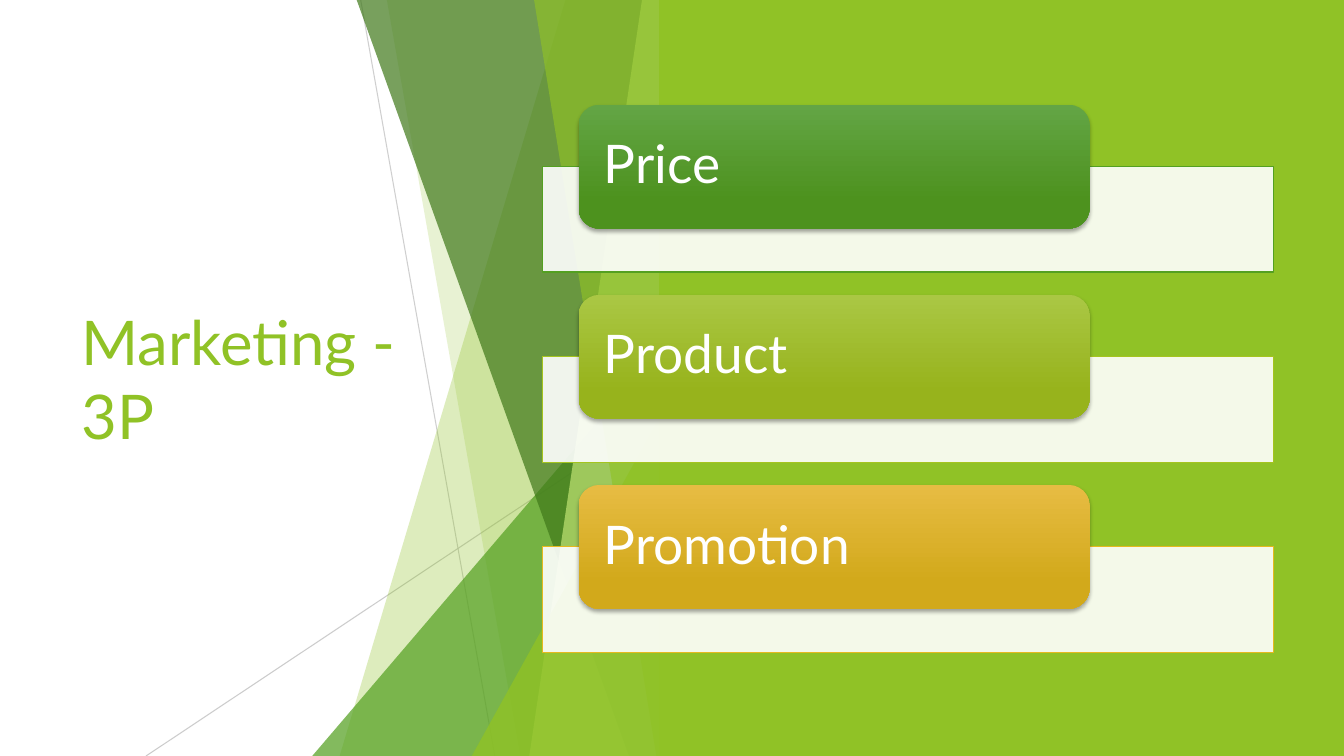
"""Build the Marketing - 3P slide with its faceted backdrop and three cards."""
from dataclasses import dataclass

from lxml.etree import SubElement
from pptx import Presentation
from pptx.dml.color import RGBColor
from pptx.enum.shapes import MSO_CONNECTOR, MSO_SHAPE
from pptx.enum.text import MSO_ANCHOR, PP_ALIGN
from pptx.oxml.ns import qn
from pptx.shapes.autoshape import Shape
from pptx.shapes.shapetree import SlideShapes
from pptx.text.text import TextFrame
from pptx.util import Cm, Pt

WHITE = RGBColor(0xFF, 0xFF, 0xFF)
GREY = RGBColor(0xBF, 0xBF, 0xBF)
LIME = RGBColor(0x90, 0xC2, 0x26)
PALE_LIME = RGBColor(0xC0, 0xE4, 0x74)
GREEN = RGBColor(0x54, 0xA0, 0x21)
DARK_GREEN = RGBColor(0x3F, 0x78, 0x19)
OLIVE = RGBColor(0xA5, 0xC4, 0x1F)
GOLD = RGBColor(0xE6, 0xB9, 0x1E)

FONT = "Lato"
SLIDE_WIDTH, SLIDE_HEIGHT = 33.87, 19.05
FACET_RIGHT = 16.92
PANEL_LEFT = 16.61
BAR_LEFT, BAR_TOP, BAR_WIDTH, BAR_HEIGHT = 13.67, 4.19, 18.42, 2.67
TAB_LEFT, TAB_TOP, TAB_WIDTH, TAB_HEIGHT = 14.58, 2.64, 12.88, 3.12
CARD_PITCH = 4.79


@dataclass(frozen=True)
class Ray:
    start: tuple[float, float]
    end: tuple[float, float]
    opacity: int


@dataclass(frozen=True)
class Facet:
    top_left: float
    bottom_left: float
    color: RGBColor
    opacity: int


@dataclass(frozen=True)
class Wedge:
    left: float
    top: float
    color: RGBColor
    opacity: int


@dataclass(frozen=True)
class Card:
    label: str
    border: RGBColor
    light: RGBColor
    dark: RGBColor


RAYS = (
    Ray((9.09, 0), (12.47, SLIDE_HEIGHT), 75),
    Ray((FACET_RIGHT, 10.24), (3.68, SLIDE_HEIGHT), 80),
)
BACKDROP = (
    Facet(14.25, 8.56, LIME, 30),
    Facet(9.75, 13.11, LIME, 20),
    Wedge(7.87, 8.46, GREEN, 72),
    Facet(8.99, 15.85, DARK_GREEN, 70),
    Facet(16.18, 13.34, PALE_LIME, 70),
    Facet(13.46, 16.54, LIME, 65),
    Wedge(11.89, 9.98, LIME, 80),
)
CARDS = (
    Card("Price", GREEN, RGBColor(0x63, 0xA5, 0x45), RGBColor(0x4D, 0x92, 0x1E)),
    Card("Product", OLIVE, RGBColor(0xAA, 0xC7, 0x44), RGBColor(0x97, 0xB3, 0x1C)),
    Card("Promotion", GOLD, RGBColor(0xE7, 0xBC, 0x43), RGBColor(0xD2, 0xA9, 0x1B)),
)


def set_opacity(parent, percent: int) -> None:
    color = parent.find(f"{qn('a:solidFill')}/{qn('a:srgbClr')}")
    SubElement(color, qn("a:alpha"), val=str(percent * 1000))


def paint(shape: Shape, color: RGBColor, opacity: int = 100) -> None:
    shape.shadow.inherit = False
    shape.fill.solid()
    shape.fill.fore_color.rgb = color
    if opacity < 100:
        set_opacity(shape.element.spPr, opacity)
    shape.line.fill.background()


def write(frame: TextFrame, text: str, size: int, color: RGBColor) -> None:
    frame.text = text
    frame.word_wrap = True
    frame.vertical_anchor = MSO_ANCHOR.MIDDLE
    paragraph = frame.paragraphs[0]
    paragraph.alignment = PP_ALIGN.LEFT
    font = paragraph.runs[0].font
    font.name, font.size = FONT, Pt(size)
    font.color.rgb = color


def add_box(shapes: SlideShapes, kind: MSO_SHAPE, left: float, top: float,
            width: float, height: float) -> Shape:
    return shapes.add_shape(kind, Cm(left), Cm(top), Cm(width), Cm(height))


def draw_ray(shapes: SlideShapes, ray: Ray) -> None:
    points = [Cm(value) for value in ray.start + ray.end]
    connector = shapes.add_connector(MSO_CONNECTOR.STRAIGHT, *points)
    connector.line.color.rgb = GREY
    connector.line.width = Pt(0.75)
    properties = connector.element.spPr
    set_opacity(properties.find(qn("a:ln")), ray.opacity)
    SubElement(properties, qn("a:effectLst"))


def draw_facet(shapes: SlideShapes, facet: Facet) -> None:
    builder = shapes.build_freeform(Cm(facet.top_left), Cm(0))
    corners = ((FACET_RIGHT, 0), (FACET_RIGHT, SLIDE_HEIGHT),
               (facet.bottom_left, SLIDE_HEIGHT))
    builder.add_line_segments([(Cm(x), Cm(y)) for x, y in corners], close=True)
    paint(builder.convert_to_shape(), facet.color, facet.opacity)


def draw_wedge(shapes: SlideShapes, wedge: Wedge) -> None:
    shape = add_box(shapes, MSO_SHAPE.ISOSCELES_TRIANGLE, wedge.left, wedge.top,
                    FACET_RIGHT - wedge.left, SLIDE_HEIGHT - wedge.top)
    shape.adjustments[0] = 1
    paint(shape, wedge.color, wedge.opacity)


def add_drop_shadow(shape: Shape) -> None:
    effects = shape.element.spPr.find(qn("a:effectLst"))
    shadow = SubElement(effects, qn("a:outerShdw"), blurRad=str(Pt(3)),
                        dist=str(Pt(2)), dir="5400000", rotWithShape="0")
    color = SubElement(shadow, qn("a:srgbClr"), val="000000")
    SubElement(color, qn("a:alpha"), val="35000")


def draw_card(shapes: SlideShapes, card: Card, offset: float) -> None:
    bar = add_box(shapes, MSO_SHAPE.RECTANGLE, BAR_LEFT, BAR_TOP + offset,
                  BAR_WIDTH, BAR_HEIGHT)
    paint(bar, WHITE, 90)
    bar.line.color.rgb = card.border
    bar.line.width = Pt(1)

    tab = add_box(shapes, MSO_SHAPE.ROUNDED_RECTANGLE, TAB_LEFT, TAB_TOP + offset,
                  TAB_WIDTH, TAB_HEIGHT)
    paint(tab, card.dark)
    tab.fill.gradient()
    tab.fill.gradient_angle = 270
    stops = ((0, card.light), (0.78, card.dark))
    for stop, (position, color) in zip(tab.fill.gradient_stops, stops):
        stop.position = position
        stop.color.rgb = color
    add_drop_shadow(tab)
    frame = tab.text_frame
    write(frame, card.label, 38, WHITE)
    frame.paragraphs[0].line_spacing = 0.9
    frame.margin_left = frame.margin_right = Cm(0.48)
    frame.margin_top = frame.margin_bottom = Cm(0)


def main() -> None:
    presentation = Presentation()
    presentation.slide_width = Cm(SLIDE_WIDTH)
    presentation.slide_height = Cm(SLIDE_HEIGHT)
    shapes = presentation.slides.add_slide(presentation.slide_layouts[6]).shapes

    title = shapes.add_textbox(Cm(1.8), Cm(3.84), Cm(9.86), Cm(11.38))
    write(title.text_frame, "Marketing - 3P", 44, LIME)
    for ray in RAYS:
        draw_ray(shapes, ray)
    for piece in BACKDROP:
        if isinstance(piece, Facet):
            draw_facet(shapes, piece)
        else:
            draw_wedge(shapes, piece)
    panel = add_box(shapes, MSO_SHAPE.RECTANGLE, PANEL_LEFT, 0,
                    SLIDE_WIDTH - PANEL_LEFT, SLIDE_HEIGHT)
    paint(panel, LIME)
    for index, card in enumerate(CARDS):
        draw_card(shapes, card, index * CARD_PITCH)
    presentation.save("out.pptx")


if __name__ == "__main__":
    main()
